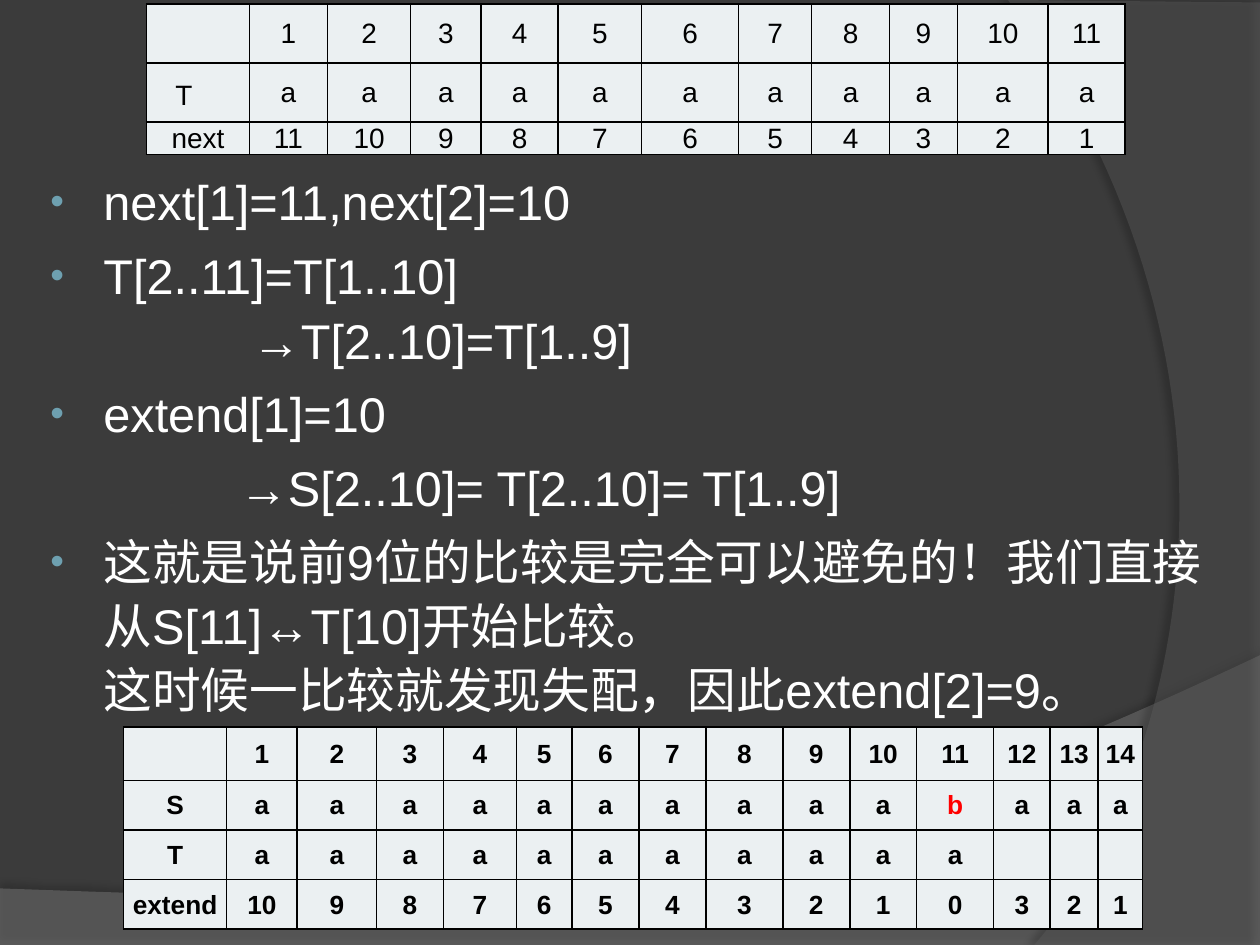
import pptx
import pptx.dml.color
import pptx.enum.text
import pptx.oxml
import pptx.oxml.ns
import pptx.util

Cm, Pt = pptx.util.Cm, pptx.util.Pt
rgb = pptx.dml.color.RGBColor.from_string
enum = pptx.enum.text

hues = {"back": "3B3B3B", "wave": "7F7F7F", "arc": "5E5E5E", "cell": "EBF0F2",
        "dot": "6EA0B0", "light": "FFFFFF", "dark": "000000", "miss": "FF0000"}


def write(para, text, size=16, hue="dark", bold=False, align=None):
    para.text = text
    para.alignment = align
    for run in para.runs:
        run.font.name = "Arial"
        run.font.size = Pt(size)
        run.font.bold = bold
        run.font.color.rgb = rgb(hues[hue])


def node(tag, attrs="", inner=""):
    """Return a new drawing element made from a tag, its attributes and its content."""
    names = pptx.oxml.ns.nsdecls("a")
    return pptx.oxml.parse_xml(f"<a:{tag} {names} {attrs}>{inner}</a:{tag}>")


deck = pptx.Presentation()
deck.slide_width, deck.slide_height = Cm(25.4), Cm(19.05)
slide = deck.slides.add_slide(deck.slide_layouts[1])
slide.background.fill.solid()
slide.background.fill.fore_color.rgb = rgb(hues["back"])
title, body = slide.placeholders
title.element.getparent().remove(title.element)

# Backdrop: straight corners, then a Bezier curve from the last corner
curves = [
    ("wave", 45, 3.5, 270, [(0, 17.91), (0, 19.07), (25.4, 19.07), (25.4, 13.21)],
     [(14.2, 18.52), (9.93, 18.26), (0, 17.91)]),
    ("arc", 40, 4, 180, [(25.4, 0.05), (25.4, 19.05), (20.85, 19.05)],
     [(23.75, 15.72), (25.86, 7.62), (20.32, 0)]),
]
steps = 60
for hue, alpha, dist, angle, line, bend in curves:
    ends = [line[-1], *bend]
    dots = list(line)
    for step in range(1, steps + 1):
        t = step / steps
        parts = [(1 - t) ** 3, 3 * t * (1 - t) ** 2, 3 * t * t * (1 - t), t ** 3]
        dots.append([sum(w * p[axis] for w, p in zip(parts, ends)) for axis in (0, 1)])
    dots = [(Cm(x), Cm(y)) for x, y in dots]
    pen = slide.shapes.build_freeform(*dots[0], scale=1.0)
    pen.add_line_segments(dots[1:], close=True)
    shape = pen.convert_to_shape()
    shape.fill.solid()
    shape.fill.fore_color.rgb = rgb(hues[hue])
    shape.line.fill.background()
    props = shape.element.spPr
    props.find(".//" + pptx.oxml.ns.qn("a:srgbClr")).append(
        node("alpha", f'val="{alpha * 1000}"'))
    shade = 35 if hue == "wave" else 45
    props.append(node(
        "effectLst", "",
        f'<a:outerShdw blurRad="{Pt(4)}" dist="{Pt(dist)}" dir="{angle * 60000}">'
        f'<a:srgbClr val="{hues["dark"]}"><a:alpha val="{shade * 1000}"/></a:srgbClr>'
        '</a:outerShdw>'))
    body.element.addprevious(shape.element)

# Body: text, left margin, space before, bullet
points = [
    ("next[1]=11,next[2]=10", 1.17, 5.5, True),
    ("T[2..11]=T[1..10]", 1.17, 5.5, True),
    ("→T[2..10]=T[1..9]", 4.17, 0, False),
    ("extend[1]=10", 1.17, 5.5, True),
    ("→S[2..10]= T[2..10]= T[1..9]", 3.91, 5.5, False),
    ("这就是说前9位的比较是完全可以避免的！我们直接从S[11]↔T[10]开始比较。\v"
     "这时候一比较就发现失配，因此extend[2]=9。", 1.17, 5.5, True),
]
body.left, body.top, body.width, body.height = Cm(0.66), Cm(3.23), Cm(24.21), Cm(11.99)
frame = body.text_frame
frame.word_wrap = True
frame.auto_size = enum.MSO_AUTO_SIZE.NONE
frame.vertical_anchor = enum.MSO_ANCHOR.TOP
for i, (text, left, gap, dot) in enumerate(points):
    para = frame.add_paragraph() if i else frame.paragraphs[0]
    write(para, text, size=27.8, hue="light", align=enum.PP_ALIGN.LEFT)
    para.line_spacing = 1.1
    para.space_before = Pt(gap)
    props = para._p.get_or_add_pPr()
    props.set("marL", str(Cm(left)))
    props.set("indent", str(Cm(-1.07 if dot else 0)))
    if dot:
        props.append(node("buClr", "", f'<a:srgbClr val="{hues["dot"]}"/>'))
        props.append(node("buSzPct", 'val="80000"'))
        props.append(node("buFont", 'typeface="Arial"'))
        props.append(node("buChar", 'char="•"'))
    else:
        props.append(node("buNone"))

# Tables: left, top, text size, bold, column widths, row heights, rows of text
tables = [
    (2.95, 0.08, 16, False,
     [2.08, 1.57, 1.68, 1.42, 1.55, 1.68, 1.96, 1.47, 1.57, 1.37, 1.83, 1.55],
     [1.19, 1.19, 0.46],
     [["", *range(1, 12)], ["T　", *"a" * 11], ["next", *range(11, 0, -1)]]),
    (2.49, 14.66, 15, True,
     [2.08, 1.42, 1.6, 1.35, 1.47, 1.12, 1.35, 1.35, 1.55, 1.35, 1.35, 1.55, 1.14, 0.97, 0.89],
     [1.07, 1, 1, 1],
     [["", *range(1, 15)], ["S", *"a" * 10, "b", *"a" * 3],
      ["T", *"a" * 11, "", "", ""], ["extend", *range(10, -1, -1), 3, 2, 1]]),
]
for left, top, size, bold, wides, highs, rows in tables:
    grid = slide.shapes.add_table(len(rows), len(wides), Cm(left), Cm(top),
                                  Cm(sum(wides)), Cm(sum(highs))).table
    grid.first_row = grid.horz_banding = False
    for col, wide in zip(grid.columns, wides):
        col.width = Cm(wide)
    for row, high, words in zip(grid.rows, highs, rows):
        row.height = Cm(high)
        for cell, word in zip(row.cells, words):
            cell.margin_left = cell.margin_right = cell.margin_top = Cm(0.03)
            cell.margin_bottom = 0
            cell.vertical_anchor = enum.MSO_ANCHOR.MIDDLE
            if word != "":
                write(cell.text_frame.paragraphs[0], str(word), size=size, bold=bold,
                      hue="miss" if word == "b" else "dark", align=enum.PP_ALIGN.CENTER)
            for side in "LRTB":
                cell._tc.get_or_add_tcPr().append(node(
                    "ln" + side, f'w="{Pt(1)}"',
                    f'<a:solidFill><a:srgbClr val="{hues["dark"]}"/></a:solidFill>'))
            cell.fill.solid()
            cell.fill.fore_color.rgb = rgb(hues["cell"])

deck.save("out.pptx")
